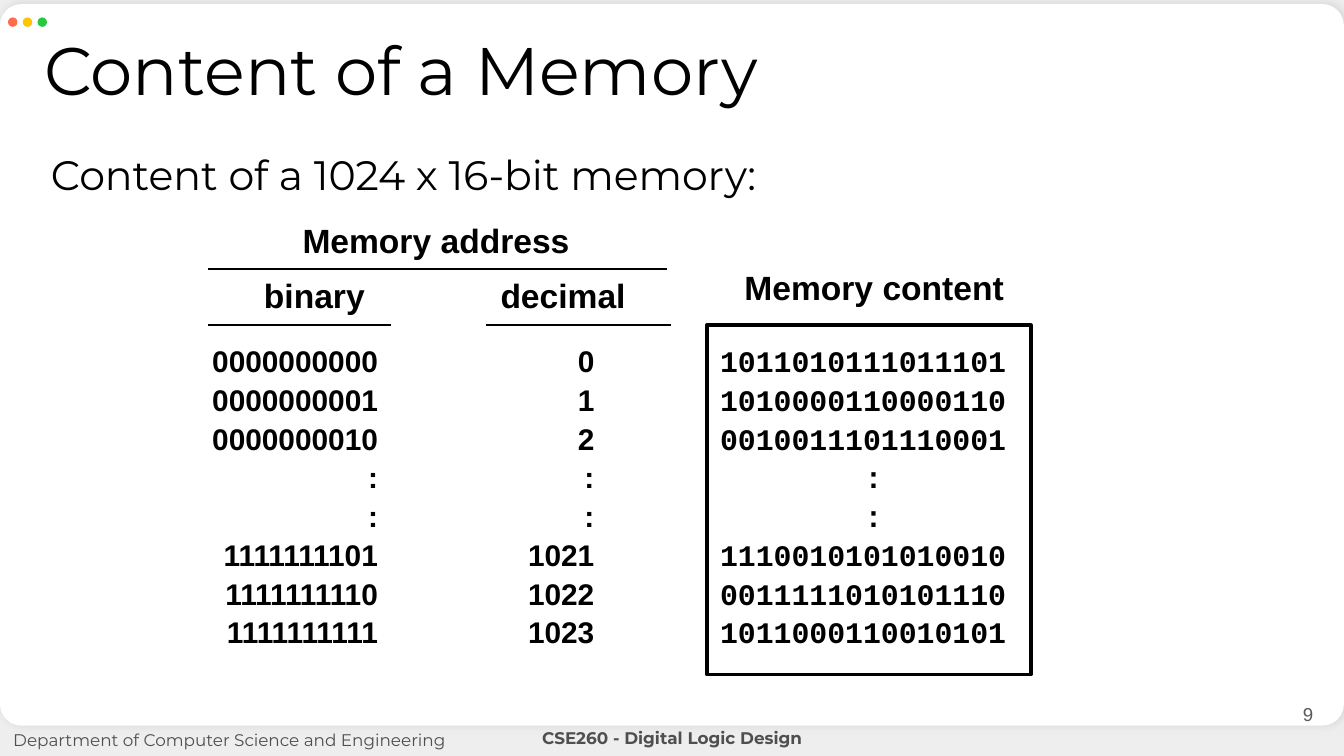
from dataclasses import dataclass

from lxml import etree
from pptx import Presentation
from pptx.dml.color import RGBColor
from pptx.enum.shapes import MSO_CONNECTOR, MSO_SHAPE
from pptx.enum.text import MSO_ANCHOR, MSO_AUTO_SIZE, PP_ALIGN
from pptx.oxml.ns import qn
from pptx.util import Inches, Pt

LEFT, MID, RIGHT = PP_ALIGN.LEFT, PP_ALIGN.CENTER, PP_ALIGN.RIGHT
TOP, CENTRE = MSO_ANCHOR.TOP, MSO_ANCHOR.MIDDLE
GROW, FIXED = MSO_AUTO_SIZE.SHAPE_TO_FIT_TEXT, MSO_AUTO_SIZE.NONE
ROUND, OVAL, RECT = MSO_SHAPE.ROUNDED_RECTANGLE, MSO_SHAPE.OVAL, MSO_SHAPE.RECTANGLE
LINE = MSO_CONNECTOR.STRAIGHT


@dataclass(frozen=True)
class Theme:
    back: str = "EEEEEE"
    card: str = "FFFFFF"
    ink: str = "000000"
    foot: str = "4F4F4F"
    page: str = "595959"
    dots: tuple = ("FF6B4D", "FFC600", "28C840")
    main: str = "Montserrat"
    sans: str = "Arial"
    mono: str = "Courier New"
    title: float = 36
    lead: float = 22
    head: float = 18
    data: float = 16
    num: float = 10
    small: float = 9


T = Theme()


def rgb(code):
    return RGBColor.from_string(code)


def add_text(slide, box, rows, face, size, color=T.ink, bold=False,
             align=LEFT, pad=0.1, fit=GROW, anchor=TOP, gap=0, lead=None):
    """Add a text box; each row is one paragraph."""
    shape = slide.shapes.add_textbox(*map(Inches, box))
    frame = shape.text_frame
    look = {"word_wrap": True, "auto_size": fit, "vertical_anchor": anchor,
            "margin_left": Inches(0.1), "margin_right": Inches(0.1),
            "margin_top": Inches(pad), "margin_bottom": Inches(pad)}
    for key, value in look.items():
        setattr(frame, key, value)
    font = {"name": face, "size": Pt(size), "bold": bold}
    for i, row in enumerate(rows):
        para = frame.paragraphs[0] if i == 0 else frame.add_paragraph()
        para.alignment = MID if row == ":" and align == LEFT else align
        if i:
            para.space_before = Pt(gap)
        if lead:
            para.line_spacing = lead
        run = para.add_run()
        run.text = row
        for key, value in font.items():
            setattr(run.font, key, value)
        run.font.color.rgb = rgb(color)


def add_form(shapes, kind, box, fill=None, line=None):
    """Add a preset shape with an optional fill and outline."""
    shape = shapes.add_shape(kind, *map(Inches, box))
    shape.shadow.inherit = False
    if fill:
        shape.fill.solid()
        shape.fill.fore_color.rgb = rgb(fill)
    else:
        shape.fill.background()
    if line:
        shape.line.color.rgb = rgb(T.ink)
        shape.line.width = Pt(line)
    else:
        shape.line.fill.background()
    return shape


def add_rule(slide, x1, x2, y):
    rule = slide.shapes.add_connector(LINE, *map(Inches, (x1, y, x2, y)))
    rule.line.color.rgb = rgb(T.ink)
    rule.line.width = Pt(1.25)
    etree.SubElement(rule._element.spPr, qn("a:effectLst"))


def add_card(slide):
    """Add the white window with its soft shadow and three dots."""
    card = add_form(slide.shapes, ROUND, (0, 0.03, 10, 5.37), T.card)
    card.adjustments[0] = 0.03
    glow = card._element.spPr.find(qn("a:effectLst"))
    shade = etree.SubElement(glow, qn("a:outerShdw"), blurRad=str(Pt(4.5)),
                             dist=str(Pt(1.5)), dir="0", rotWithShape="0")
    tone = etree.SubElement(shade, qn("a:srgbClr"), val=T.ink)
    etree.SubElement(tone, qn("a:alpha"), val="10000")
    group = slide.shapes.add_group_shape()
    for i, color in enumerate(T.dots):
        add_form(group.shapes, OVAL, (0.06 + 0.11 * i, 0.13, 0.07, 0.07), color)


def add_footer(slide):
    add_text(slide, (9.27, 5.1, 0.6, 0.43), ["9"], T.sans, T.num, T.page,
             align=RIGHT, fit=FIXED, anchor=CENTRE)
    add_text(slide, (0, 5.33, 5.54, 0.37),
             ["Department of Computer Science and Engineering"],
             T.main, T.small, T.foot, fit=FIXED)
    add_text(slide, (3.22, 5.34, 3.56, 0.35), ["CSE260 - Digital Logic Design"],
             T.main, T.small, T.foot, bold=True, align=MID)


def add_memory(slide):
    """Add the address columns and the boxed content column."""
    add_form(slide.shapes, RECT, (5.26, 2.42, 2.41, 2.6), line=2)

    # Headings
    heads = [("Memory address", 1.88, 1.59, 2.73), ("binary", 1.66, 2, 1.36),
             ("decimal", 3.51, 2, 1.36), ("Memory content", 5.14, 1.94, 2.73)]
    for label, x, y, wide in heads:
        add_text(slide, (x, y, wide, 0.4), [label], T.sans, T.head,
                 bold=True, align=MID, pad=0.05)

    # Columns
    gap = [":", ":"]
    first, last = range(3), range(1021, 1024)
    binary = [f"{n:010b}" for n in first] + gap + [f"{n:010b}" for n in last]
    decimal = [str(n) for n in first] + gap + [str(n) for n in last]
    words = ["1011010111011101", "1010000110000110", "0010011101110001", *gap,
             "1110010101010010", "0011111010101110", "1011000110010101"]
    cols = [(binary, 1.33, 1.58, T.sans, RIGHT),
            (decimal, 3.67, 0.85, T.sans, RIGHT),
            (words, 5.26, 2.48, T.mono, LEFT)]
    for rows, x, wide, face, align in cols:
        add_text(slide, (x, 2.5, wide, 2.41), rows, face, T.data,
                 bold=True, align=align, pad=0.05, gap=1.6)

    # Rules under the headings
    for x1, x2, y in [(1.55, 4.96, 2), (1.55, 2.91, 2.42), (3.62, 4.99, 2.42)]:
        add_rule(slide, x1, x2, y)


def main():
    # Widescreen page, 16 to 9
    deck = Presentation()
    deck.slide_width = Inches(10)
    deck.slide_height = Inches(10 * 9 / 16)
    slide = deck.slides.add_slide(deck.slide_layouts[6])
    slide.background.fill.solid()
    slide.background.fill.fore_color.rgb = rgb(T.back)

    add_card(slide)
    add_text(slide, (0.23, 0.18, 9.89, 0.75), ["Content of a Memory"],
             T.main, T.title, lead=0.9)
    add_text(slide, (0.28, 1.01, 9.44, 0.57),
             ["Content of a 1024 x 16-bit memory:"], T.main, T.lead)
    add_memory(slide)
    add_footer(slide)
    deck.save("out.pptx")


if __name__ == "__main__":
    main()
